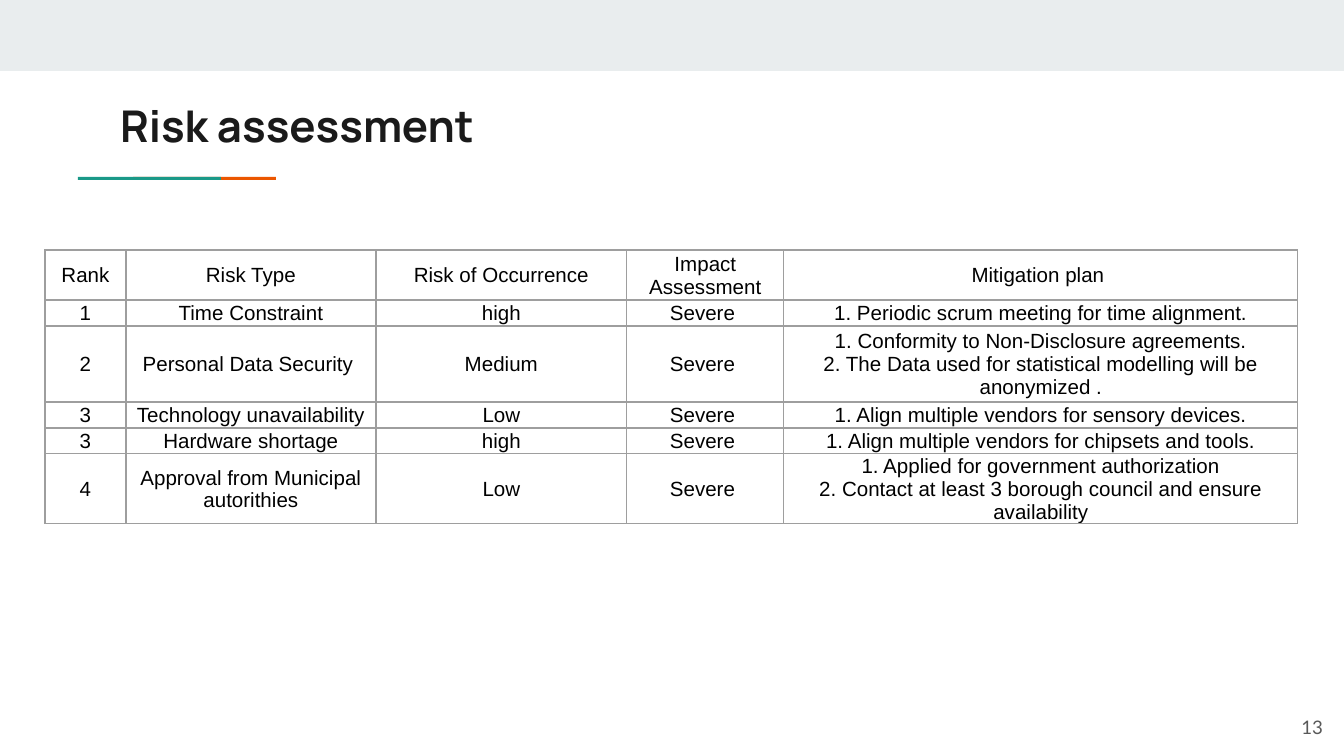
from lxml import etree
from pptx import Presentation
from pptx.dml.color import RGBColor
from pptx.enum.shapes import MSO_SHAPE
from pptx.enum.text import MSO_ANCHOR, MSO_AUTO_SIZE, PP_ALIGN
from pptx.oxml.ns import qn
from pptx.util import Emu, Pt

RECTANGLE = MSO_SHAPE.RECTANGLE
MIDDLE = MSO_ANCHOR.MIDDLE
NO_AUTOFIT = MSO_AUTO_SIZE.NONE
LEFT, CENTER, RIGHT = PP_ALIGN.LEFT, PP_ALIGN.CENTER, PP_ALIGN.RIGHT

BAND = RGBColor(0xE9, 0xED, 0xEE)
ORANGE = RGBColor(0xEB, 0x56, 0x00)
GREEN = RGBColor(0x1A, 0x99, 0x88)
INK = RGBColor(0x1A, 0x1A, 0x1A)
GRAY = RGBColor(0x59, 0x59, 0x59)
BLACK = RGBColor(0x00, 0x00, 0x00)
BORDER = RGBColor(0x9E, 0x9E, 0x9E)

PIXELS_PER_INCH = 134.4
TITLE_ONLY = 5
COLUMN_WIDTHS = [81, 250, 251, 157, 514]
ROW_HEIGHTS = [50, 26, 76, 26, 26, 70]
RISKS = [
    ["Rank", "Risk Type", "Risk of Occurrence", "Impact Assessment", "Mitigation plan "],
    ["1", "Time Constraint", "high", "Severe ", "1. Periodic scrum meeting for time alignment."],
    ["2", "Personal Data Security ", "Medium", "Severe ",
     "1. Conformity to Non-Disclosure agreements.\v"
     "2. The Data used for statistical modelling will be anonymized ."],
    ["3", "Technology unavailability", "Low", "Severe ",
     "1. Align multiple vendors for sensory devices."],
    ["3", "Hardware shortage", "high", "Severe ",
     "1. Align multiple vendors for chipsets and tools."],
    ["4", "Approval from Municipal autorithies", "Low", "Severe ",
     "1. Applied for government authorization\v"
     "2. Contact at least 3 borough council and ensure availability"],
]


def px(length):
    return Emu(round(length * 914400 / PIXELS_PER_INCH))


class SlideBuilder:
    def __init__(self, slide):
        self.slide = slide

    def style(self, paragraph, font_name, size, color, alignment, bold=False):
        paragraph.alignment = alignment
        font = paragraph.font
        font.name, font.size, font.bold = font_name, Pt(size), bold
        font.color.rgb = color

    def fill_frame(self, frame, text):
        frame.text = text
        frame.word_wrap = True
        frame.auto_size = NO_AUTOFIT
        frame.vertical_anchor = MIDDLE
        frame.margin_left = frame.margin_right = px(13)
        frame.margin_top = frame.margin_bottom = px(13)
        return frame.paragraphs[0]

    def rectangle(self, left, top, width, height, color):
        shape = self.slide.shapes.add_shape(RECTANGLE, px(left), px(top), px(width), px(height))
        shape.shadow.inherit = False
        shape.fill.solid()
        shape.fill.fore_color.rgb = color
        shape.line.fill.background()

    def title(self, left, top, width, height, text):
        title = self.slide.shapes.title
        title.left, title.top = px(left), px(top)
        title.width, title.height = px(width), px(height)
        paragraph = self.fill_frame(title.text_frame, text)
        self.style(paragraph, "Manrope", 23.4, INK, LEFT, bold=True)

    def page_number(self, left, top, width, height, text):
        box = self.slide.shapes.add_textbox(px(left), px(top), px(width), px(height))
        paragraph = self.fill_frame(box.text_frame, text)
        self.style(paragraph, "Lato", 10, GRAY, RIGHT)

    def border(self, cell):
        properties = cell._tc.get_or_add_tcPr()
        for position, side in enumerate(("a:lnL", "a:lnR", "a:lnT", "a:lnB")):
            line = etree.Element(qn(side), w=str(Pt(0.75)))
            fill = etree.SubElement(line, qn("a:solidFill"))
            etree.SubElement(fill, qn("a:srgbClr"), val=str(BORDER))
            properties.insert(position, line)

    def table(self, left, top, widths, heights, rows):
        frame = self.slide.shapes.add_table(
            len(heights), len(widths), px(left), px(top), px(sum(widths)), px(sum(heights)))
        table = frame.table
        table.first_row = table.horz_banding = False
        for column, width in zip(table.columns, widths):
            column.width = px(width)
        for row, height, texts in zip(table.rows, heights, rows):
            row.height = px(height)
            for cell, text in zip(row.cells, texts):
                cell.text = text
                cell.vertical_anchor = MIDDLE
                cell.margin_left = cell.margin_right = cell.margin_top = px(1)
                cell.margin_bottom = 0
                cell.fill.background()
                self.border(cell)
                self.style(cell.text_frame.paragraphs[0], "Arial", 11, BLACK, CENTER)


def main():
    presentation = Presentation()
    presentation.slide_width, presentation.slide_height = px(1344), px(756)
    slide = presentation.slides.add_slide(presentation.slide_layouts[TITLE_ONLY])
    builder = SlideBuilder(slide)
    builder.rectangle(0, 0, 1344, 71, BAND)
    for left, color in ((133, ORANGE), (78, GREEN)):
        builder.rectangle(left, 177, 143, 3, color)
    builder.title(107, 86, 1130, 79, "Risk assessment")
    builder.page_number(1255, 698, 81, 58, "13")
    builder.table(45, 250, COLUMN_WIDTHS, ROW_HEIGHTS, RISKS)
    presentation.save("out.pptx")


if __name__ == "__main__":
    main()
